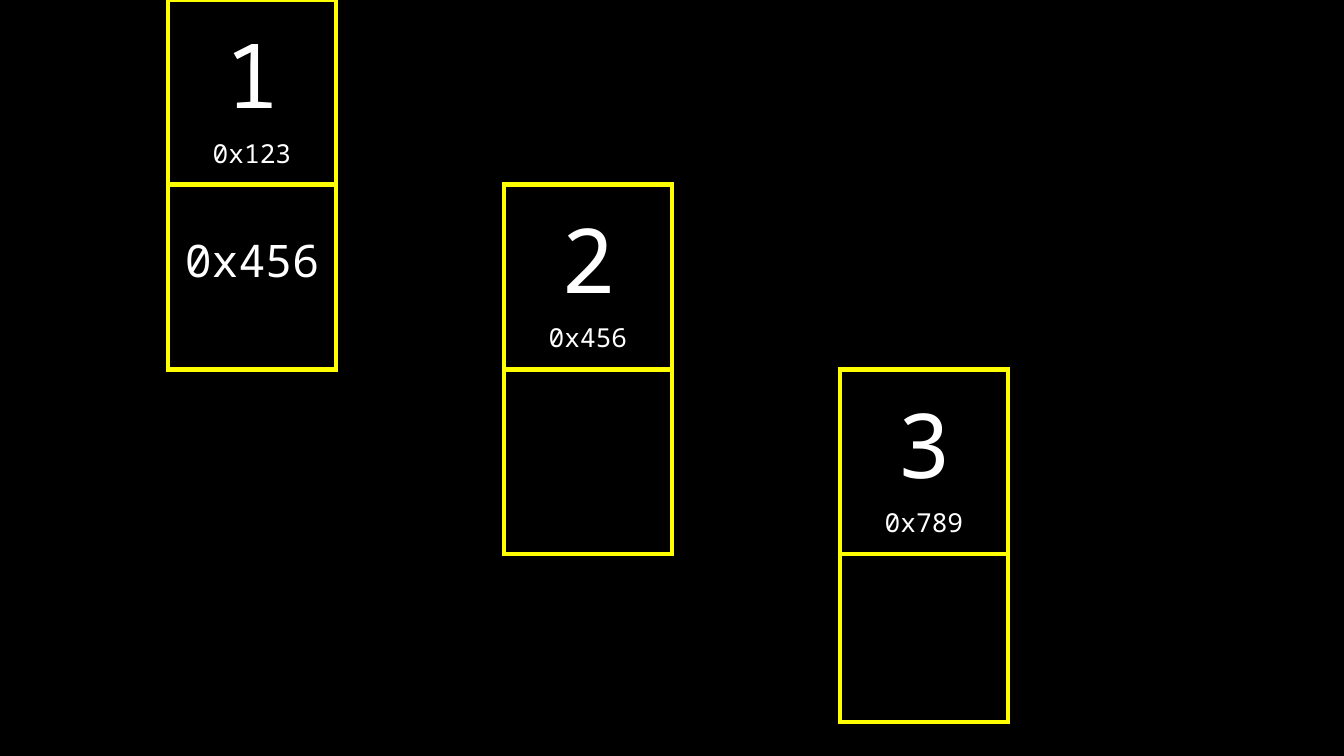
from dataclasses import dataclass

from lxml import etree
from pptx import Presentation
from pptx.dml.color import RGBColor
from pptx.enum.text import MSO_ANCHOR, PP_ALIGN
from pptx.oxml.ns import qn
from pptx.table import Table, _Cell
from pptx.util import Emu, Pt

CENTER = PP_ALIGN.CENTER
MIDDLE = MSO_ANCHOR.MIDDLE
BOTTOM = MSO_ANCHOR.BOTTOM

PX_PER_INCH = 134.4
SLIDE_WIDTH, SLIDE_HEIGHT = 1344, 756
CELL_SIZE = 168
ROWS, COLUMNS = 5, 8
INSET = 13
INSET_BOTTOM = 14
POINTER_INSET_BOTTOM = 79
BORDER_POINTS = 3
FONT = "Noto Sans Mono"
BLACK, WHITE, YELLOW = "000000", "FFFFFF", "FFFF00"
PLAIN_TABLE_STYLE = "{2D5ABB26-0587-4C30-8999-92F81FD0307C}"
NEIGHBOURS = {"L": (0, -1), "R": (0, 1), "T": (-1, 0), "B": (1, 0)}


@dataclass(frozen=True)
class Node:
    value: str
    address: str
    pointer: str = ""


@dataclass(frozen=True)
class Line:
    text: str
    points: int


NODES = (Node("1", "0x123", "0x456"), Node("2", "0x456"), Node("3", "0x789"))


def px(length: int) -> Emu:
    return Emu(round(length * 914400 / PX_PER_INCH))


def color(value: str) -> RGBColor:
    return RGBColor.from_string(value)


def write_cell(cell: _Cell, lines: list[Line], anchor: MSO_ANCHOR, bottom: int) -> None:
    cell.vertical_anchor = anchor
    cell.margin_left = cell.margin_right = cell.margin_top = px(INSET)
    cell.margin_bottom = px(bottom)
    cell.text_frame.text = "\n".join(line.text for line in lines)
    for paragraph, line in zip(cell.text_frame.paragraphs, lines):
        paragraph.alignment = CENTER
        for run in paragraph.runs:
            run.font.name = FONT
            run.font.size = Pt(line.points)
            run.font.color.rgb = color(WHITE)


def set_border(cell: _Cell, edge: str, visible: bool) -> None:
    properties = cell._tc.get_or_add_tcPr()
    border = etree.SubElement(properties, qn(f"a:ln{edge}"), w=str(Pt(BORDER_POINTS)))
    if visible:
        fill = etree.SubElement(border, qn("a:solidFill"))
        etree.SubElement(fill, qn("a:srgbClr"), val=YELLOW)
    else:
        etree.SubElement(border, qn("a:noFill"))


def draw_grid(table: Table, framed: set[tuple[int, int]]) -> None:
    for row in range(ROWS):
        for column in range(COLUMNS):
            cell = table.cell(row, column)
            for edge, (row_step, column_step) in NEIGHBOURS.items():
                neighbour = (row + row_step, column + column_step)
                set_border(cell, edge, (row, column) in framed or neighbour in framed)
            cell.fill.background()


def main() -> None:
    presentation = Presentation()
    presentation.slide_width = px(SLIDE_WIDTH)
    presentation.slide_height = px(SLIDE_HEIGHT)
    slide = presentation.slides.add_slide(presentation.slide_layouts[6])
    slide.background.fill.solid()
    slide.background.fill.fore_color.rgb = color(BLACK)

    frame = slide.shapes.add_table(
        ROWS, COLUMNS, 0, 0, px(COLUMNS * CELL_SIZE), px(ROWS * CELL_SIZE)
    )
    table = frame.table
    table.first_row = False
    table.horz_banding = False
    table._tbl.tblPr.find(qn("a:tableStyleId")).text = PLAIN_TABLE_STYLE

    framed = set()
    for index, node in enumerate(NODES):
        column = 2 * index + 1
        framed |= {(index, column), (index + 1, column)}
        write_cell(
            table.cell(index, column),
            [Line(node.value, 48), Line(node.address, 14)],
            MIDDLE,
            INSET_BOTTOM,
        )
        if node.pointer:
            write_cell(
                table.cell(index + 1, column),
                [Line(node.pointer, 24)],
                BOTTOM,
                POINTER_INSET_BOTTOM,
            )
    draw_grid(table, framed)
    presentation.save("out.pptx")


if __name__ == "__main__":
    main()
